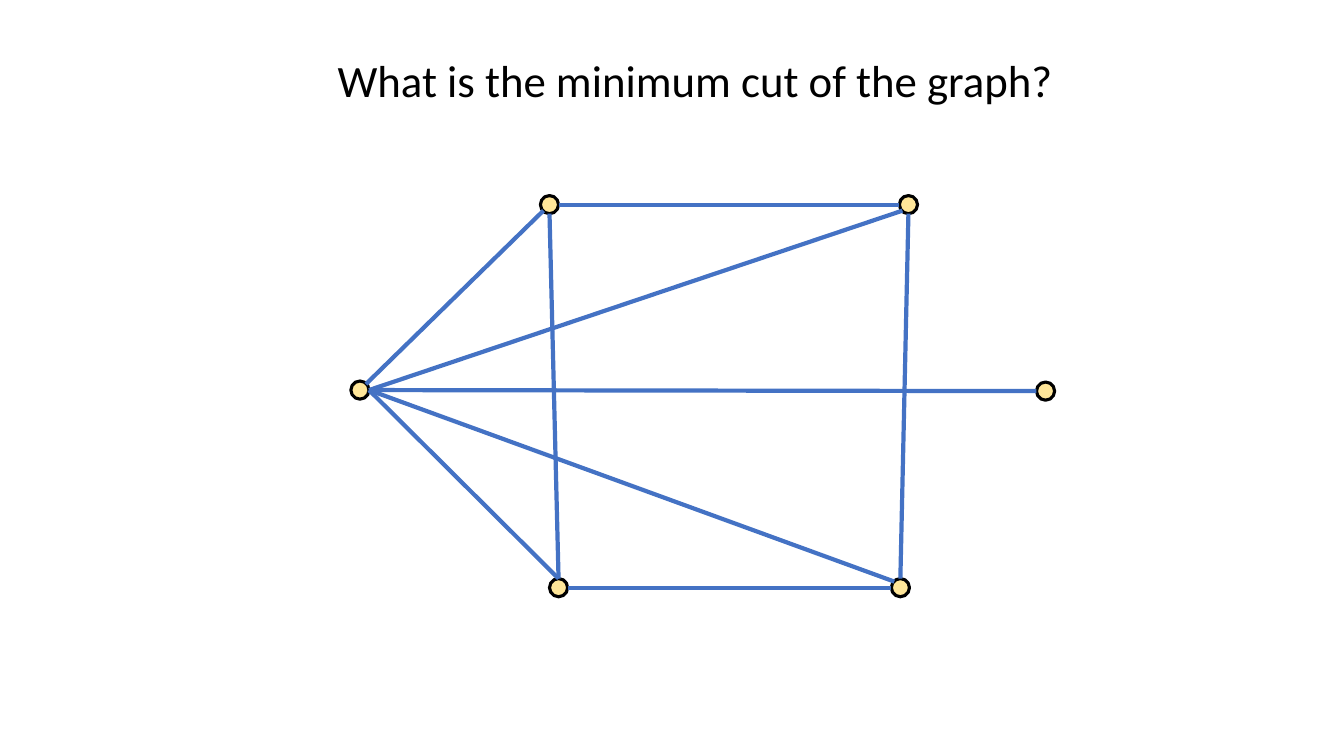
import pptx
import pptx.dml.color
import pptx.enum.shapes
import pptx.enum.text
import pptx.util
from dataclasses import dataclass
from lxml import etree

PX = 9144
RADIUS = 9
DIAGONAL = 6

SIDES = {
    "top": (0, -RADIUS),
    "left": (-RADIUS, 0),
    "bottom": (0, RADIUS),
    "right": (RADIUS, 0),
    "top left": (-DIAGONAL, -DIAGONAL),
    "top right": (DIAGONAL, -DIAGONAL),
    "bottom left": (-DIAGONAL, DIAGONAL),
}

NODES = {
    "west": (357, 387),
    "lower left": (554, 583),
    "upper left": (545, 203),
    "lower right": (893, 583),
    "upper right": (901, 203),
    "east": (1037, 388),
}

EDGES = [
    ("west", "top right", "upper left", "bottom left"),
    ("west", "right", "upper right", "bottom left"),
    ("upper left", "right", "upper right", "left"),
    ("west", "right", "lower left", "top"),
    ("upper left", "bottom", "lower left", "top"),
    ("upper right", "bottom", "lower right", "top"),
    ("lower left", "right", "lower right", "left"),
    ("west", "right", "lower right", "top left"),
    ("west", "right", "east", "left"),
]


@dataclass(frozen=True)
class Theme:
    font: str = "Calibri"
    title_size: int = 32
    text: str = "000000"
    node_fill: str = "FFE699"
    node_line: str = "000000"
    node_width: float = 2.25
    edge_line: str = "4472C4"
    edge_width: float = 3


THEME = Theme()


def lengths(*values):
    return [value * PX for value in values]


def color(code):
    return pptx.dml.color.RGBColor.from_string(code)


def apply_format(target, values):
    for name, value in values.items():
        setattr(target, name, value)


def style_line(shape, code, width):
    shape.line.color.rgb = color(code)
    shape.line.width = pptx.util.Pt(width)


def add_title(page, text, left, top, width, height):
    box = page.shapes.add_textbox(*lengths(left, top, width, height))
    apply_format(box.text_frame, {
        "word_wrap": True,
        "auto_size": pptx.enum.text.MSO_AUTO_SIZE.SHAPE_TO_FIT_TEXT,
    })
    span = box.text_frame.paragraphs[0].add_run()
    span.text = text
    apply_format(span.font, {
        "name": THEME.font,
        "size": pptx.util.Pt(THEME.title_size),
    })
    span.font.color.rgb = color(THEME.text)


def add_node(page, center):
    x, y = center
    node = page.shapes.add_shape(
        pptx.enum.shapes.MSO_SHAPE.OVAL,
        *lengths(x - RADIUS, y - RADIUS, 2 * RADIUS, 2 * RADIUS))
    node.shadow.inherit = False
    node.fill.solid()
    node.fill.fore_color.rgb = color(THEME.node_fill)
    style_line(node, THEME.node_line, THEME.node_width)


def anchor(node, side):
    return [base + shift for base, shift in zip(NODES[node], SIDES[side])]


def add_edge(page, start, start_side, end, end_side):
    edge = page.shapes.add_connector(
        pptx.enum.shapes.MSO_CONNECTOR.STRAIGHT,
        *lengths(*anchor(start, start_side), *anchor(end, end_side)))
    style_line(edge, THEME.edge_line, THEME.edge_width)
    properties = edge._element.spPr
    etree.SubElement(properties, pptx.oxml.ns.qn("a:effectLst"))


def main():
    deck = pptx.Presentation()
    deck.slide_width, deck.slide_height = lengths(1333, 750)
    page = deck.slides.add_slide(deck.slide_layouts[6])
    for center in NODES.values():
        add_node(page, center)
    for edge in EDGES:
        add_edge(page, *edge)
    add_title(page, "What is the minimum cut of the graph?", 325, 47, 803, 64)
    deck.save("out.pptx")


if __name__ == "__main__":
    main()
